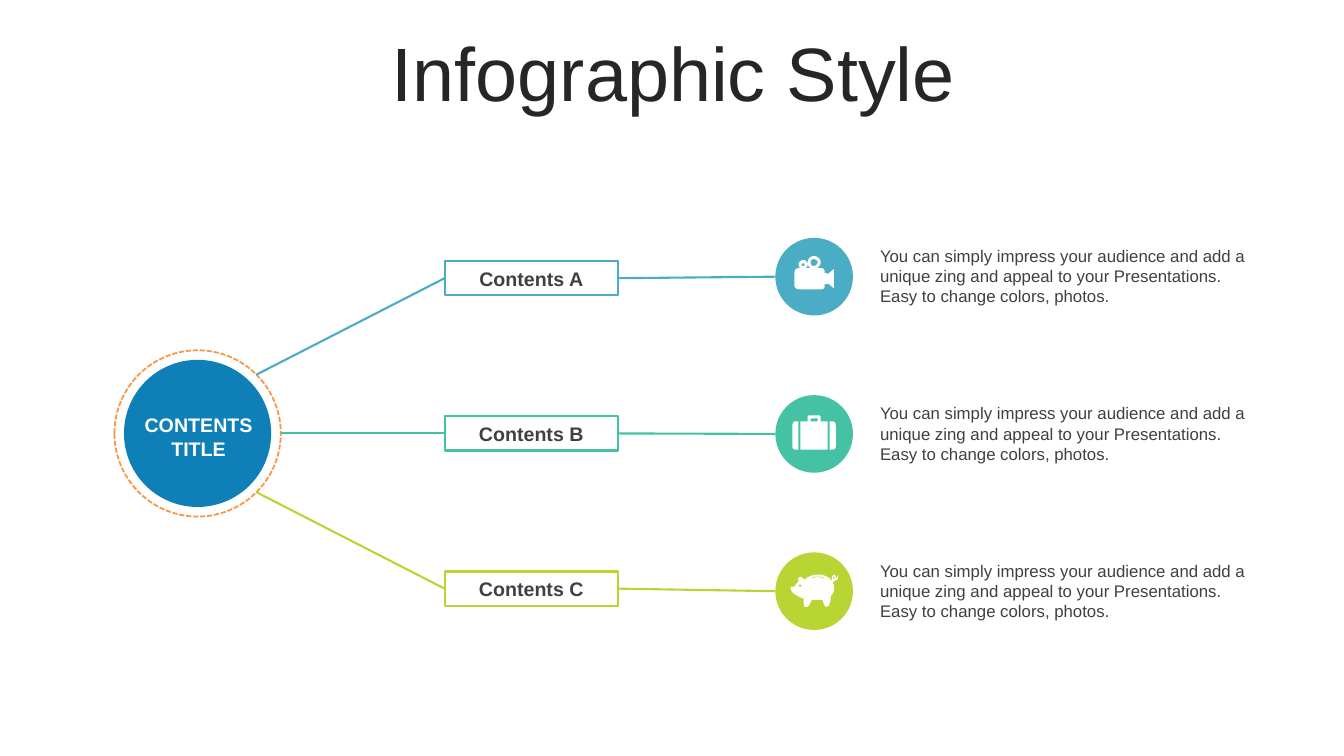
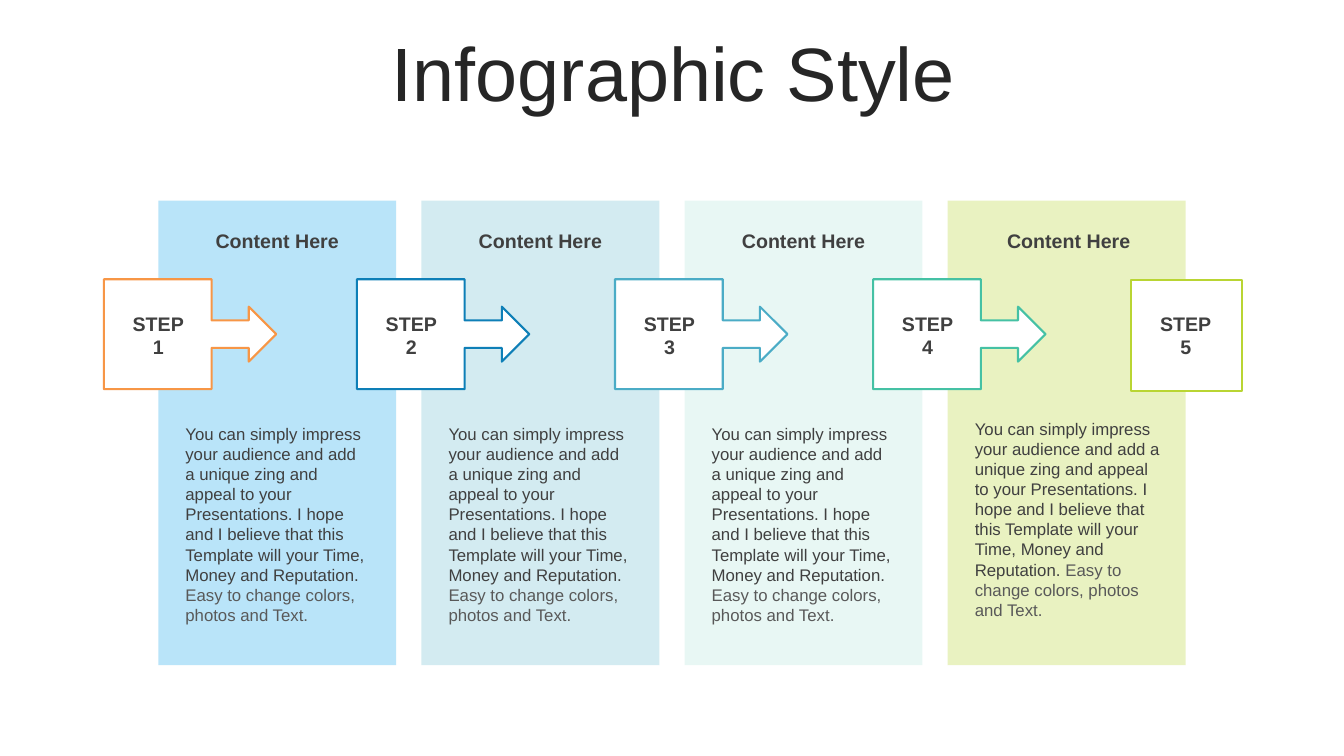
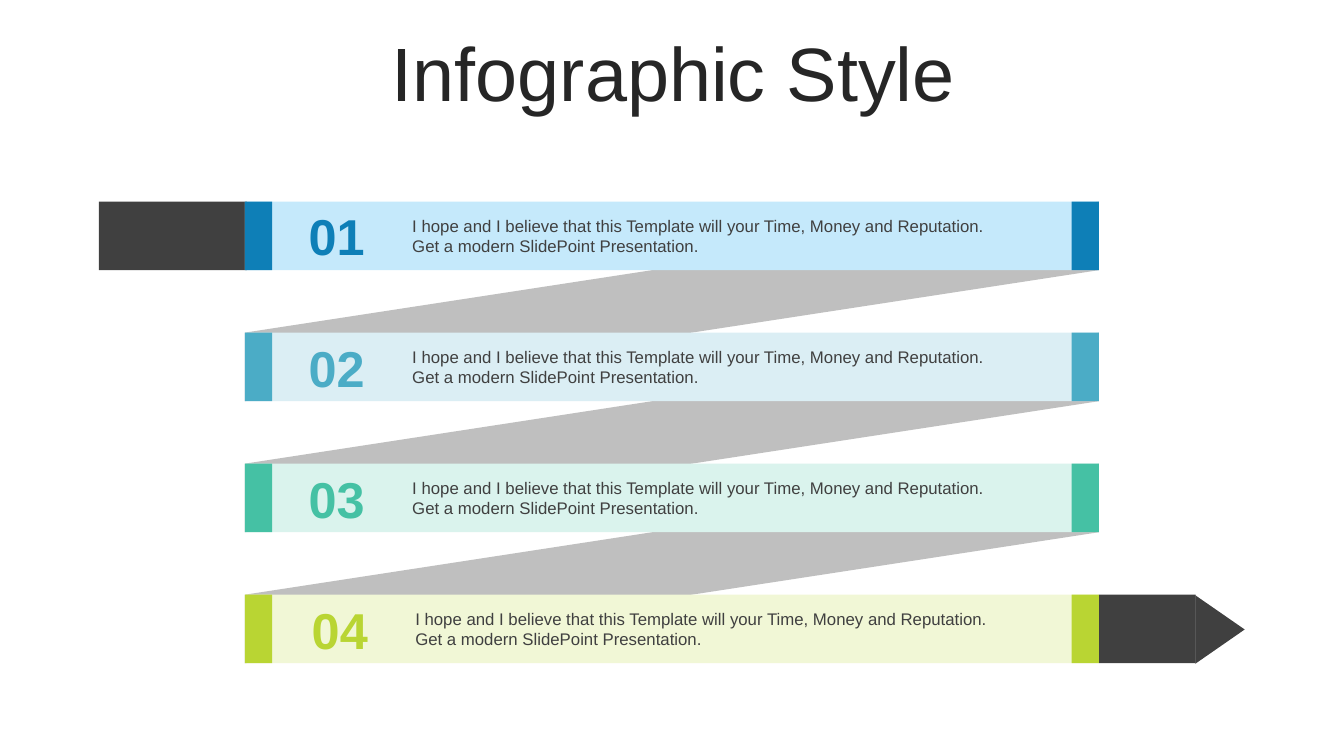
from lxml import etree
from pptx import Presentation
from pptx.dml.color import RGBColor
from pptx.enum.dml import MSO_LINE
from pptx.enum.shapes import MSO_CONNECTOR, MSO_SHAPE as SHAPE
from pptx.enum.text import MSO_ANCHOR as ANCHOR, MSO_AUTO_SIZE, PP_ALIGN as ALIGN
from pptx.oxml.ns import qn
from pptx.util import Inches, Pt

# Shared look
FONT = "Arial"
INK, DARK, GREY, WHITE = "262626", "404040", "595959", "FFFFFF"
ORANGE, BLUE, SKY, TEAL, LIME = "F79646", "0E7FB7", "4BACC6", "45C1A4", "B9D533"
RIBBON = "BFBFBF"

# Pictograms: path commands in hundredths of an inch, from the disc's corner
CAMERA = """
M 28 25 C 27 25 26 26 26 27 C 26 28 27 28 28 28 C 28 28 29 28 29 27 C 29 26 28 25 28 25
M 38 21 C 36 21 35 23 35 24 C 35 26 36 28 38 28 C 40 28 42 26 42 24 C 42 23 40 21 38 21
M 38 18 C 42 18 45 21 45 24 C 45 27 43 29 41 30 L 46 30 C 48 30 49 32 49 34 L 49 35
L 51 35 C 51 35 52 36 52 36 L 58 31 L 58 50 L 52 45 C 52 46 51 46 51 46 L 49 46
L 49 48 C 49 49 48 51 46 51 L 23 51 C 21 51 19 49 19 48 L 19 34 C 19 32 21 30 23 30
L 26 30 C 24 30 23 28 23 27 C 23 24 25 22 28 22 C 30 22 32 24 32 27 C 32 28 31 30 29 30
L 35 30 C 33 29 32 27 32 24 C 32 21 35 18 38 18"""
SUITCASE = """
M 54 26 L 57 26 C 59 26 60 28 60 30 L 60 51 C 60 53 59 54 57 54 L 54 54
M 20 26 L 23 26 L 23 54 L 20 54 C 18 54 17 53 17 51 L 17 30 C 17 28 18 26 20 26
M 36 23 C 35 23 35 23 35 24 L 35 26 L 42 26 L 42 24 C 42 23 42 23 41 23
M 34 20 L 43 20 C 44 20 45 21 45 22 L 45 26 L 52 26 L 52 54 L 25 54 L 25 26 L 32 26
L 32 22 C 32 21 33 20 34 20"""
PIG = """
M 24 32 C 24 32 23 32 23 33 C 23 34 24 34 24 34 C 25 34 26 34 26 33 C 26 32 25 32 24 32
M 58 24 C 57 24 57 25 57 25 C 57 26 57 26 58 26 C 58 26 59 26 59 25 C 59 25 58 24 58 24
M 42 24 C 40 24 38 24 36 25 L 36 26 C 40 24 44 24 48 26 L 48 25 C 46 24 44 24 42 24
M 42 22 C 47 22 53 24 55 27 L 56 28 C 56 28 56 28 57 27 C 56 27 56 26 56 25
C 56 24 57 23 58 22 C 59 22 60 24 60 25 C 60 26 60 26 60 26 C 60 26 61 26 62 22
C 63 26 61 28 59 28 C 58 29 58 29 57 30 L 58 33 C 59 37 57 42 55 43
C 55 48 54 50 53 53 C 52 54 49 54 49 53 C 48 51 47 49 47 47 C 43 47 39 47 36 47
C 35 50 34 52 32 54 L 29 54 C 28 54 28 49 28 46 C 24 44 14 41 15 34 C 15 34 18 34 19 34
C 20 32 21 31 23 29 C 23 27 22 25 23 25 C 26 23 27 26 29 27 C 32 24 38 22 42 22"""


def rgb(color):
    return RGBColor.from_string(color)


def style(sp, fill=None, line=None, width=1.5, alpha=None):
    sp.shadow.inherit = False
    if fill:
        sp.fill.solid()
        sp.fill.fore_color.rgb = rgb(fill)
    else:
        sp.fill.background()
    if alpha:
        clr = sp.fill._xPr.find(qn("a:solidFill"))[0]
        etree.SubElement(clr, qn("a:alpha")).set("val", str(alpha * 1000))
    if line:
        sp.line.color.rgb = rgb(line)
        sp.line.width = Pt(width)
    else:
        sp.line.fill.background()
    return sp


def add_shape(s, kind, x, y, w, h, **look):
    sp = s.shapes.add_shape(kind, Inches(x), Inches(y), Inches(w), Inches(h))
    return style(sp, **look)


def write(sp, *paragraphs, size=12, color=DARK, bold=False, align=ALIGN.LEFT, anchor=ANCHOR.TOP):
    """Fill a shape; a paragraph is a string or a list of (text, colour) runs."""
    tf = sp.text_frame
    tf.word_wrap = True
    tf.auto_size = MSO_AUTO_SIZE.NONE
    tf.vertical_anchor = anchor
    for i, content in enumerate(paragraphs):
        p = tf.add_paragraph() if i else tf.paragraphs[0]
        p.alignment = align
        for text, run_color in [(content, color)] if isinstance(content, str) else content:
            r = p.add_run()
            r.text = text
            r.font.name, r.font.size, r.font.bold = FONT, Pt(size), bold
            r.font.color.rgb = rgb(run_color)
    return sp


def add_text(s, x, y, w, h, *paragraphs, **fmt):
    sp = s.shapes.add_textbox(Inches(x), Inches(y), Inches(w), Inches(h))
    return write(sp, *paragraphs, **fmt)


def add_line(s, start, end, color, box, side):
    """Draw a line whose end is joined to a side of the box."""
    ln = s.shapes.add_connector(MSO_CONNECTOR.STRAIGHT, *map(Inches, start + end))
    ln.end_connect(box, side)
    ln.line.color.rgb = rgb(color)
    ln.line.width = Pt(1.5)
    etree.SubElement(ln._element.spPr, qn("a:effectLst"))


def add_outline(s, contours, fill, x=0, y=0):
    """Draw closed contours, given in inches from (x, y), as one shape."""
    emu = [[(Inches(px), Inches(py)) for px, py in points] for points in contours]
    builder = s.shapes.build_freeform(*emu[0][0])
    for i, points in enumerate(emu):
        if i:
            builder.move_to(*points[0])
        builder.add_line_segments(points[1:], close=True)
    return style(builder.convert_to_shape(Inches(x), Inches(y)), fill=fill)


def trace(commands, steps=5):
    """Turn M, L and C commands into contours of points in inches."""
    contours, tokens = [], iter(commands.split())

    def point():
        return int(next(tokens)) / 100, int(next(tokens)) / 100

    for command in tokens:
        if command == "M":
            contours.append([point()])
        elif command == "L":
            contours[-1].append(point())
        else:
            curve = [contours[-1][-1], point(), point(), point()]
            for k in range(1, steps + 1):
                t = k / steps
                weights = ((1 - t) ** 3, 3 * t * (1 - t) ** 2, 3 * t * t * (1 - t), t ** 3)
                contours[-1].append(tuple(sum(w * c for w, c in zip(weights, axis))
                                          for axis in zip(*curve)))
    return contours


def new_slide(prs):
    s = prs.slides.add_slide(prs.slide_layouts[5])
    title = s.shapes.title
    title.left, title.top, title.width, title.height = map(Inches, (0.35, 0.37, 12.66, 0.79))
    write(title, "Infographic Style", size=54, color=INK, align=ALIGN.CENTER, anchor=ANCHOR.MIDDLE)
    title.text_frame.paragraphs[0].line_spacing = 0.9
    return s


def branches_slide(prs):
    s = new_slide(prs)
    blurb = ("You can simply impress your audience and add a unique zing and appeal "
             "to your Presentations. Easy to change colors, photos.")
    hub_x, hub_y, ring, core, disc = 1.96, 4.3, 1.65, 1.46, 0.77

    # Hub
    add_shape(s, SHAPE.OVAL, hub_x - core / 2, hub_y - core / 2, core, core, fill=BLUE)
    halo = add_shape(s, SHAPE.OVAL, hub_x - ring / 2, hub_y - ring / 2, ring, ring,
                     line=ORANGE, width=1.25)
    halo.line.dash_style = MSO_LINE.SQUARE_DOT
    add_text(s, 1.26, 4.05, 1.42, 0.57, "CONTENTS", "TITLE",
             size=14, color=WHITE, bold=True, align=ALIGN.CENTER)

    # Branches
    diagonal = ring / 2 * 0.5 ** 0.5
    rows = [("Contents A", SKY, CAMERA, (diagonal, -diagonal)),
            ("Contents B", TEAL, SUITCASE, (ring / 2, 0)),
            ("Contents C", LIME, PIG, (diagonal, diagonal))]
    for i, (label, color, icon, (dx, dy)) in enumerate(rows):
        top = 2.36 + 1.56 * i
        box = add_shape(s, SHAPE.RECTANGLE, 4.41, 2.59 + 1.54 * i, 1.72, 0.34, line=color)
        write(box, label, size=14, bold=True, align=ALIGN.CENTER, anchor=ANCHOR.MIDDLE)
        add_line(s, (hub_x + dx, hub_y + dy), (4.41, hub_y), color, box, 1)
        add_line(s, (7.69, top + disc / 2), (6.13, hub_y), color, box, 3)
        add_shape(s, SHAPE.OVAL, 7.69, top, disc, disc, fill=color)
        add_outline(s, trace(icon), WHITE, 7.69, top)
        add_text(s, 8.63, top + 0.03, 3.97, 0.71, blurb)


def steps_slide(prs):
    s = new_slide(prs)
    body = [("You can simply impress your audience and add a unique zing and appeal to your "
             "Presentations. I hope and I believe that this Template will your Time, "
             "Money and Reputation. ", DARK),
            ("Easy to change colors, photos and Text.", GREY)]
    heading = dict(size=14, bold=True, align=ALIGN.CENTER)

    # Columns: fill, opacity, then heading offset and body offset, top and width
    columns = [("8BD3F6", 60, 0.17, 0.17, 4.15, 2.02),
               ("B7DEE8", 60, 0.17, 0.17, 4.15, 2.02),
               ("8FDAC8", 20, 0.17, 0.17, 4.15, 2.02),
               ("D5E685", 50, 0.19, 0.17, 4.1, 2.06)]
    for i, (fill, alpha, head_dx, body_dx, body_y, body_w) in enumerate(columns):
        x = 1.57 + 2.61 * i
        add_shape(s, SHAPE.RECTANGLE, x, 1.99, 2.36, 4.61, fill=fill, alpha=alpha)
        add_text(s, x + head_dx, 2.22, 2.02, 0.34, "Content Here", **heading)
        add_text(s, x + body_dx, body_y, body_w, 2.12, body)

    # Steps
    arrow, last = (SHAPE.RIGHT_ARROW_CALLOUT, 2.77, 1.71, 1.09), (SHAPE.RECTANGLE, 2.78, 1.1, 1.1)
    steps = [(1.03, ORANGE, arrow), (3.54, BLUE, arrow), (6.1, SKY, arrow),
             (8.66, TEAL, arrow), (11.22, LIME, last)]
    for n, (x, color, (kind, y, w, h)) in enumerate(steps, 1):
        sp = add_shape(s, kind, x, y, w, h, fill=WHITE, line=color)
        if kind == SHAPE.RIGHT_ARROW_CALLOUT:
            for k, value in enumerate((0.25, 0.25, 0.25, 0.625)):
                sp.adjustments[k] = value
        add_text(s, x + 0.13, 3.04, 0.82, 0.57, "STEP", str(n), anchor=ANCHOR.MIDDLE, **heading)


def ribbon_slide(prs):
    s = new_slide(prs)
    message = ("I hope and I believe that this Template will your Time, Money and Reputation. "
               "Get a modern SlidePoint Presentation.")
    left, right, top, pitch, bar, cap = 2.43, 10.9, 2, 1.3, 0.68, 0.27
    bars = [("C5E9FB", BLUE, 0), ("DBEEF4", SKY, 0), ("DAF3ED", TEAL, 0), ("F1F7D6", LIME, 0.03)]
    tops = [top + pitch * i for i in range(len(bars))]

    # Folds behind the bars
    for y, below in zip(tops, tops[1:]):
        add_outline(s, [[(left, below), (right, y), (right, y + bar), (left, below + bar)]], RIBBON)

    # Dark tail and tip
    add_shape(s, SHAPE.RECTANGLE, 0.98, top, 1.47, bar, fill=DARK)
    add_shape(s, SHAPE.RECTANGLE, right, tops[-1], 0.96, bar, fill=DARK)
    tip = add_shape(s, SHAPE.ISOSCELES_TRIANGLE, 11.76, 6, bar, 0.49, fill=DARK)
    tip.rotation = 90

    # Bars
    for n, (y, (tint, color, shift)) in enumerate(zip(tops, bars), 1):
        add_shape(s, SHAPE.RECTANGLE, left, y, right - left, bar, fill=tint)
        for x in (left, right - cap):
            add_shape(s, SHAPE.RECTANGLE, x, y, cap, bar, fill=color)
        add_text(s, 2.95 + shift, y - 0.01, 0.78, 0.71, f"{n:02}",
                 size=36, color=color, bold=True, align=ALIGN.CENTER)
        add_text(s, 3.99 + shift, y + 0.09, 6.05, 0.5, message)


def main():
    prs = Presentation()
    prs.slide_width, prs.slide_height = Inches(13.33), Inches(7.5)
    branches_slide(prs)
    steps_slide(prs)
    ribbon_slide(prs)
    prs.save("out.pptx")


if __name__ == "__main__":
    main()
